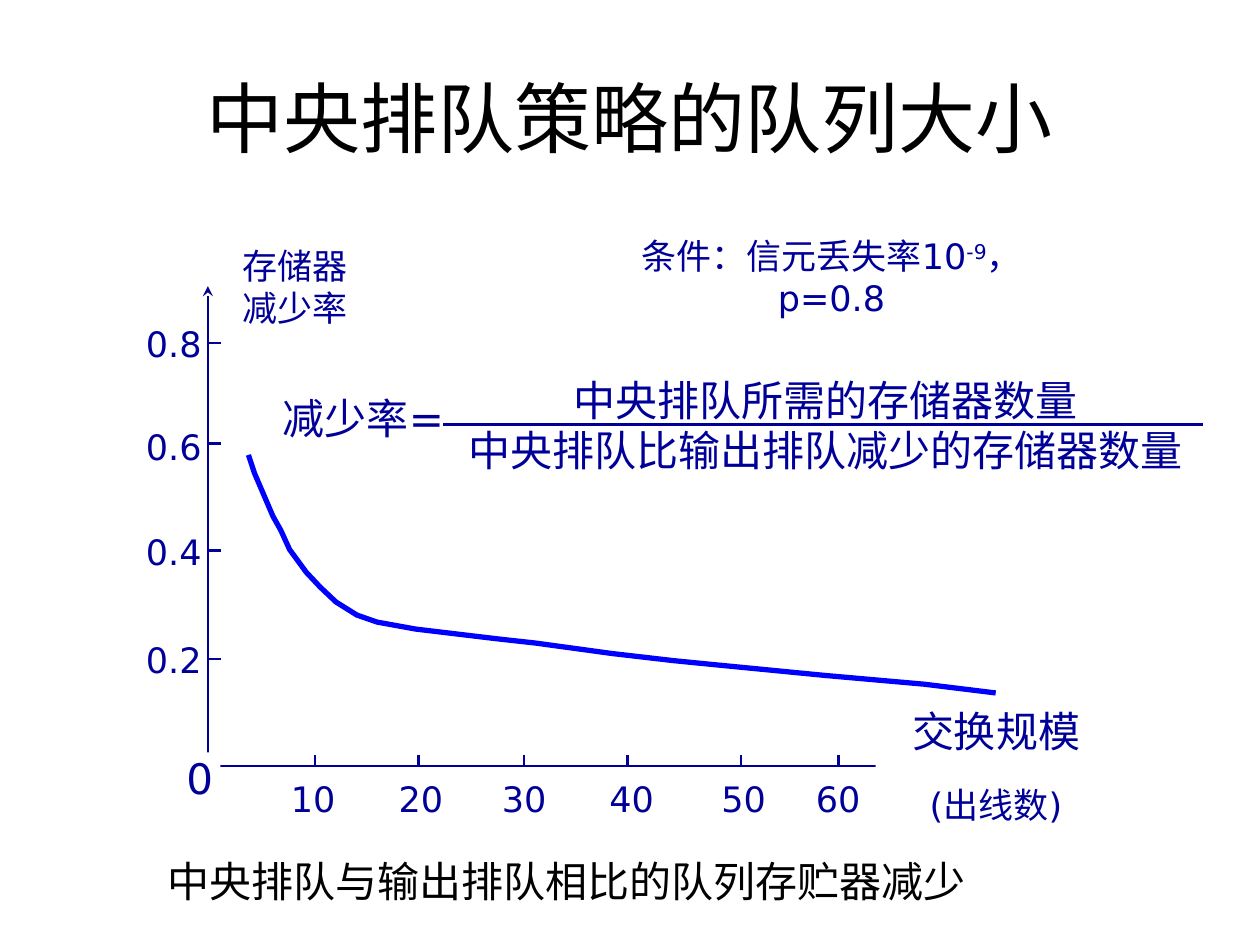
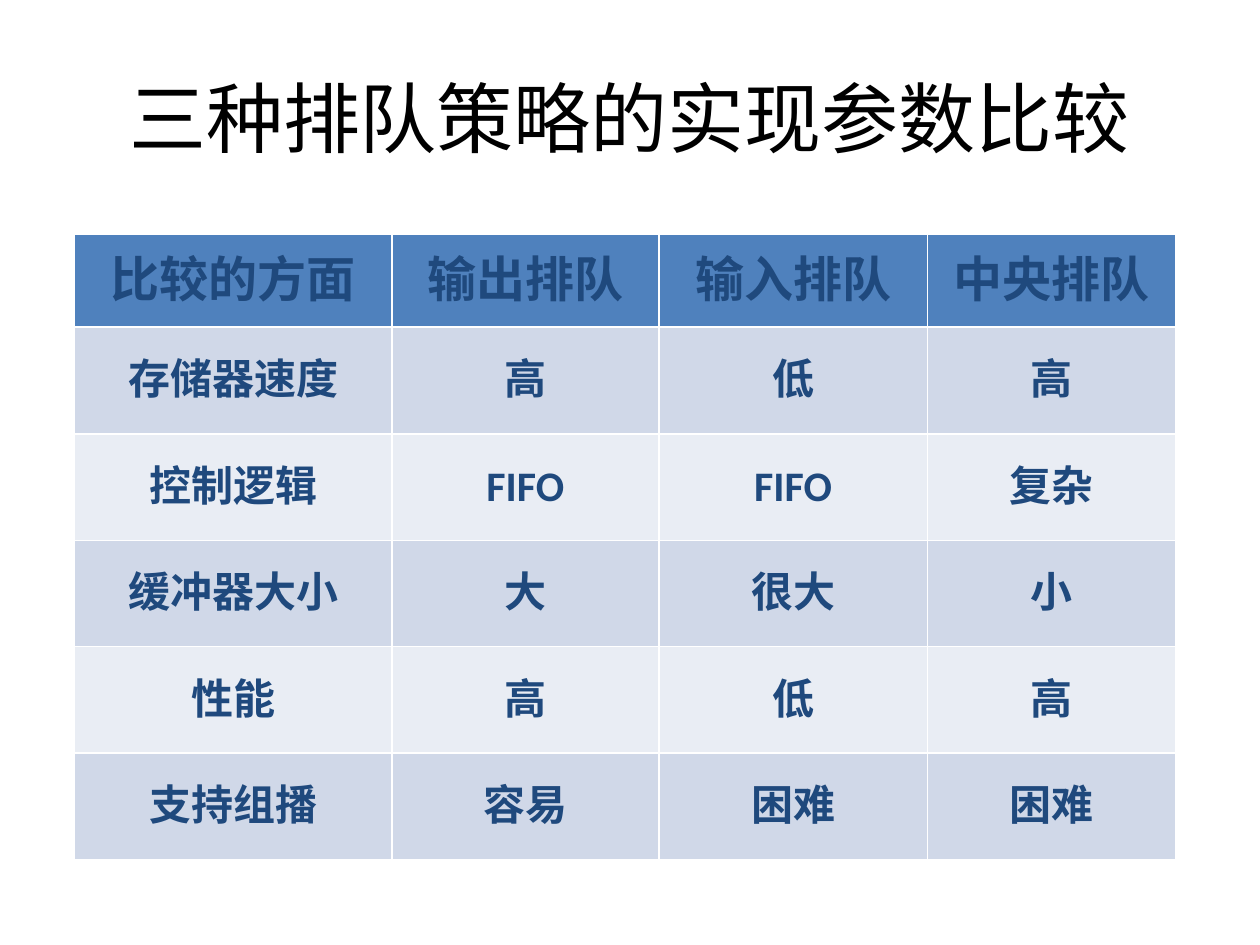
from dataclasses import dataclass
from typing import NamedTuple

from lxml.etree import SubElement
from pptx import Presentation
from pptx.dml.color import RGBColor as Rgb
from pptx.enum.shapes import MSO_CONNECTOR as Link, MSO_SHAPE as Form
from pptx.enum.text import MSO_ANCHOR as Anchor, PP_ALIGN as Align
from pptx.oxml.ns import qn
from pptx.util import Pt


@dataclass(frozen=True)
class Theme:
    """Colours, fonts and type sizes of the deck."""
    black: str = "000000"
    white: str = "FFFFFF"
    navy: str = "000099"
    blue: str = "0000FF"
    ink: str = "1F497D"
    head: str = "4F81BD"
    bands: tuple[str, str] = ("D0D8E8", "E9EDF4")
    body: str = "Calibri"
    plot: str = "DejaVu Sans"
    title: int = 44
    header: int = 28
    large: int = 24
    small: int = 20


THEME = Theme()


class Box(NamedTuple):
    """A rectangle in points."""
    left: float
    top: float
    width: float
    height: float


class Run(NamedTuple):
    """A piece of text, raised or not."""
    text: str
    raised: bool = False


class Line(NamedTuple):
    """One paragraph of a label."""
    runs: tuple[Run, ...]
    size: int = THEME.small
    before: float = 0


class Label(NamedTuple):
    """A block of centred or aligned text."""
    box: Box
    lines: tuple[Line, ...]
    align: Align = Align.CENTER
    filled: bool = True
    color: str = THEME.navy
    font: str = THEME.plot
    anchor: Anchor = Anchor.MIDDLE
    inset: float = 0


class Rule(NamedTuple):
    """A straight line in points."""
    x1: float
    y1: float
    x2: float
    y2: float
    width: float = 1.5
    arrow: bool = False


class Tick(NamedTuple):
    """An axis mark, with its place and the centre of its text."""
    text: str
    at: float
    mid: float


LEFT, BASE = 118.8, 437.8
X_TICKS = (
    Tick("10", 180, 179), Tick("20", 239, 240.5), Tick("30", 299.5, 299.5),
    Tick("40", 358.5, 361), Tick("50", 423.5, 425), Tick("60", 479, 479),
)
Y_TICKS = (
    Tick("0.2", 376.5, 377), Tick("0.4", 314.5, 315),
    Tick("0.6", 253.5, 255), Tick("0.8", 196, 196.5),
)
CURVE = (
    (142, 260), (145.5, 270.5), (150, 281), (156, 295), (160.5, 303),
    (165.5, 314), (175, 327), (183, 335.5), (192, 344), (204, 351.5),
    (215.5, 355.5), (237.5, 359.5), (283.5, 365), (306, 367.5),
    (350, 373.5), (384.5, 377.5), (404.5, 379.5), (471.5, 386),
    (528, 391), (544.5, 393), (569, 396),
)
COLS = (181.5, 152.5, 153.5, 141.8)
ROWS = (53, 61, 60.8, 60.8, 60.8, 60.8)
CELLS = (
    ("比较的方面", "输出排队", "输入排队", "中央排队"),
    ("存储器速度", "高", "低", "高"),
    ("控制逻辑", "FIFO", "FIFO", "复杂"),
    ("缓冲器大小", "大", "很大", "小"),
    ("性能", "高", "低", "高"),
    ("支持组播", "容易", "困难", "困难"),
)


def plain(text: str, size: int = THEME.small, before: float = 0) -> Line:
    """Make a paragraph of a single run."""
    return Line((Run(text),), size, before)


def style(para, size: int, color: str, font: str, bold: bool = False) -> None:
    """Set the type of a paragraph for Latin and Chinese letters."""
    face = para.font
    face.size, face.name, face.bold = Pt(size), font, bold
    face.color.rgb = Rgb.from_string(color)
    SubElement(para._p.pPr.find(qn("a:defRPr")), qn("a:ea"), typeface=font)


def add_label(slide, label: Label) -> None:
    """Draw a label as a white box or a bare text box."""
    box = [Pt(n) for n in label.box]
    if label.filled:
        shape = slide.shapes.add_shape(Form.RECTANGLE, *box)
        shape.shadow.inherit = False
        shape.fill.solid()
        shape.fill.fore_color.rgb = Rgb.from_string(THEME.white)
        shape.line.fill.background()
    else:
        shape = slide.shapes.add_textbox(*box)
    frame = shape.text_frame
    frame.word_wrap = True
    frame.vertical_anchor = label.anchor
    frame.margin_left = frame.margin_right = Pt(label.inset)
    frame.margin_top = frame.margin_bottom = Pt(label.inset and 3.6)
    for i, line in enumerate(label.lines):
        para = frame.add_paragraph() if i else frame.paragraphs[0]
        para.alignment = label.align
        if line.before:
            para.space_before = Pt(line.before)
        style(para, line.size, label.color, label.font)
        for part in line.runs:
            run = para.add_run()
            run.text = part.text
            if part.raised:
                run._r.get_or_add_rPr().set("baseline", "30000")


def add_rule(slide, rule: Rule) -> None:
    """Draw a navy line, with an arrowhead if asked."""
    ends = [Pt(n) for n in rule[:4]]
    link = slide.shapes.add_connector(Link.STRAIGHT, *ends)
    link.line.width = Pt(rule.width)
    link.line.color.rgb = Rgb.from_string(THEME.navy)
    if rule.arrow:
        SubElement(link.line._get_or_add_ln(), qn("a:tailEnd"), type="stealth")
    SubElement(link._element.spPr, qn("a:effectLst"))


def add_curve(slide) -> None:
    """Draw the falling curve."""
    first, *rest = [(Pt(x), Pt(y)) for x, y in CURVE]
    pen = slide.shapes.build_freeform(*first)
    pen.add_line_segments(rest, close=False)
    shape = pen.convert_to_shape()
    shape.shadow.inherit = False
    shape.fill.background()
    shape.line.width = Pt(3)
    shape.line.color.rgb = Rgb.from_string(THEME.blue)


def add_page(deck, title: str):
    """Add a blank slide with the shared title."""
    slide = deck.slides.add_slide(deck.slide_layouts[6])
    add_label(slide, Label(
        Box(36, 21.6, 648, 90), (plain(title, THEME.title),),
        filled=False, color=THEME.black, font=THEME.body, inset=7.2))
    return slide


def add_axes(slide) -> None:
    """Draw both axes with their marks and numbers."""
    add_rule(slide, Rule(LEFT, BASE, LEFT, 163.5, arrow=True))
    add_rule(slide, Rule(LEFT, BASE, 566.6, BASE, arrow=True))
    for tick in X_TICKS:
        add_rule(slide, Rule(tick.at, BASE - 6.5, tick.at, BASE))
        box = Box(tick.mid - 17, 444, 34, 24.5)
        add_label(slide, Label(box, (plain(tick.text),)))
    for tick in Y_TICKS:
        add_rule(slide, Rule(LEFT, tick.at, LEFT + 7.2, tick.at))
        box = Box(73.5, tick.mid - 12, 41.7, 24)
        add_label(slide, Label(box, (plain(tick.text),), Align.RIGHT))


def plot_page(deck) -> None:
    """Build the slide with the queue size curve."""
    slide = add_page(deck, "中央排队策略的队列大小")
    add_axes(slide)
    big = THEME.large
    labels = (
        Label(Box(102.2, 430, 23.8, 28.8), (plain("0", big),)),
        Label(Box(500.4, 402.5, 137.5, 69.8),
              (plain("交换规模", big), plain("(出线数)", before=16))),
        Label(Box(133.2, 139.7, 70.6, 48.2),
              (plain("存储器"), plain("减少率"))),
        Label(Box(334.8, 142.6, 280.8, 31), (Line((
            Run("条件：信元丢失率10"), Run("-9", True), Run("，p=0.8"))),),
            filled=False, inset=7.2),
        Label(Box(260.6, 213.8, 422.6, 57.6),
              (plain("中央排队所需的存储器数量", big),
               plain("中央排队比输出排队减少的存储器数量", big)), filled=False),
        Label(Box(150.5, 224.6, 114.5, 28.8),
              (plain("减少率=", big),), filled=False),
        Label(Box(88.5, 485.3, 606, 44.6),
              (plain("中央排队与输出排队相比的队列存贮器减少", big),),
              Align.LEFT, False, THEME.black, THEME.body, Anchor.TOP, 7.2),
    )
    for label in labels:
        add_label(slide, label)
    add_curve(slide)
    add_rule(slide, Rule(253.4, 242.6, 687.6, 242.6, 2.25))


def table_page(deck) -> None:
    """Build the slide that compares the three strategies."""
    slide = add_page(deck, "三种排队策略的实现参数比较")
    box = Box(42.5, 134, sum(COLS), sum(ROWS))
    grid = slide.shapes.add_table(
        len(ROWS), len(COLS), *[Pt(n) for n in box]).table
    for col, width in zip(grid.columns, COLS):
        col.width = Pt(width)
    for i, (row, height) in enumerate(zip(grid.rows, ROWS)):
        row.height = Pt(height)
        fill = THEME.bands[(i - 1) % 2] if i else THEME.head
        size = THEME.large if i else THEME.header
        for cell, text in zip(row.cells, CELLS[i]):
            cell.text = text
            cell.vertical_anchor = Anchor.MIDDLE
            cell.fill.solid()
            cell.fill.fore_color.rgb = Rgb.from_string(fill)
            para = cell.text_frame.paragraphs[0]
            para.alignment = Align.CENTER
            style(para, size, THEME.ink, THEME.body, True)


def main() -> None:
    """Build and save the deck."""
    deck = Presentation()
    deck.slide_width, deck.slide_height = Pt(720), Pt(540)
    plot_page(deck)
    table_page(deck)
    deck.save("out.pptx")


if __name__ == "__main__":
    main()
